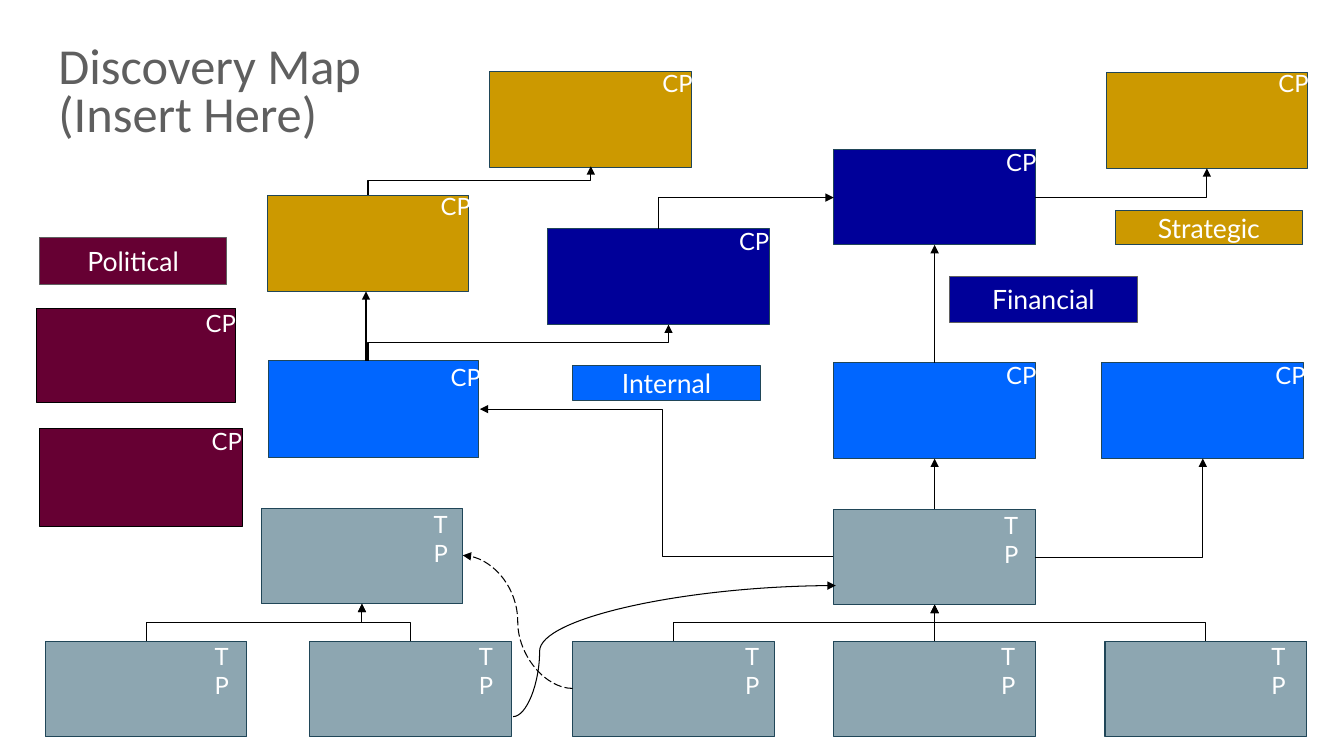
from lxml.etree import SubElement
from pptx import Presentation
from pptx.dml.color import RGBColor
from pptx.enum.dml import MSO_LINE
from pptx.enum.shapes import MSO_CONNECTOR, MSO_SHAPE
from pptx.enum.text import MSO_ANCHOR, PP_ALIGN
from pptx.oxml.ns import qn
from pptx.util import Inches, Pt

theme = {
    "wine": "660033", "blue": "0066FF", "navy": "000099", "gold": "CC9900",
    "slate": "8DA6B1", "edge": "204658", "gray": "5F5F5F", "black": "000000",
    "white": "FFFFFF", "head": 36, "label": 19, "tag": 17, "line": 0.75,
}

deck = Presentation()
deck.slide_width, deck.slide_height = Inches(13.33), Inches(7.5)
slide = deck.slides.add_slide(deck.slide_layouts[6])
shapes = slide.shapes


def write(shape, lines, size, font, color, pads):
    frame = shape.text_frame
    frame.margin_left, frame.margin_top, frame.margin_right, frame.margin_bottom = map(Inches, pads)
    para = frame.paragraphs[0]
    for i, line in enumerate(lines):
        if i:
            para.add_line_break()
        run = para.add_run()
        run.text = line
        run.font.size = Pt(theme[size])
        run.font.name = font
        run.font.color.rgb = RGBColor.from_string(theme[color])
    return frame, para


def block(x, y, w, h, fill, edge):
    shape = shapes.add_shape(MSO_SHAPE.RECTANGLE, Inches(x), Inches(y), Inches(w), Inches(h))
    shape.shadow.inherit = False
    shape.fill.solid()
    shape.fill.fore_color.rgb = RGBColor.from_string(theme[fill])
    shape.line.color.rgb = RGBColor.from_string(theme[edge])
    shape.line.width = Pt(theme["line"])
    return shape


title = shapes.add_textbox(Inches(0.58), Inches(0.44), Inches(12.17), Inches(0.97))
frame, para = write(title, ["Discovery Map", "(Insert Here)"], "head", "Calibri", "gray", (0, 0, 0, 0))
frame.word_wrap = True
frame.vertical_anchor = MSO_ANCHOR.BOTTOM
para.line_spacing = 0.8

tiles = {
    "wine top": (0.36, 3.06, 1.98, 0.93, 1.55, 0.05),
    "wine low": (0.39, 4.25, 2.02, 0.97, 1.58, 0.03),
    "blue left": (2.66, 3.58, 2.09, 0.96, 1.68, 0.06),
    "blue mid": (8.27, 3.6, 2, 0.95, 1.58, 0.02),
    "blue right": (10.93, 3.6, 2, 0.95, 1.59, 0.02),
    "navy left": (5.43, 2.27, 2.2, 0.95, 1.77, 0.03),
    "navy right": (8.27, 1.48, 2, 0.95, 1.58, 0.03),
    "gold left": (2.65, 1.94, 2, 0.95, 1.59, 0.01),
    "gold mid": (4.86, 0.71, 2, 0.95, 1.58, 0.02),
    "gold right": (10.97, 0.72, 2, 0.95, 1.58, 0.01),
    "slate left": (2.59, 5.04, 2, 0.95, 1.58, -0.05),
    "slate right": (8.27, 5.05, 2, 0.95, 1.56, -0.05),
    "slate one": (0.45, 6.36, 2, 0.95, 1.55, -0.06),
    "slate two": (3.07, 6.36, 2, 0.95, 1.55, -0.06),
    "slate three": (5.68, 6.36, 2, 0.95, 1.58, -0.06),
    "slate four": (8.27, 6.36, 2, 0.95, 1.53, -0.06),
    "slate five": (10.96, 6.36, 2, 0.95, 1.52, -0.06),
}
made = {}
for name, (x, y, w, h, dx, dy) in tiles.items():
    fill = name.split()[0]
    made[name] = block(x, y, w, h, fill, "black" if fill == "wine" else "edge")
    low = fill == "slate"
    wide, tall = (0.54, 0.43) if low else (0.48, 0.19)
    tag = shapes.add_textbox(Inches(x + dx), Inches(y + dy), Inches(wide), Inches(tall))
    pads = (0.13, 0.07, 0.2 if low else 0, 0.07)
    frame, para = write(tag, ["TP" if low else "CP"], "tag", "Lato", "white", pads)
    frame.word_wrap = True
    frame.vertical_anchor = MSO_ANCHOR.TOP if low else MSO_ANCHOR.MIDDLE

labels = [
    ("Political", 0.39, 2.36, 0.46, "wine", "gray"),
    ("Internal", 5.68, 3.63, 0.34, "blue", "edge"),
    ("Financial", 9.42, 2.74, 0.46, "navy", "gray"),
    ("Strategic", 11.06, 2.09, 0.34, "gold", "edge"),
]
for text, x, y, h, fill, edge in labels:
    label = block(x, y, 1.86, h, fill, edge)
    frame, para = write(label, [text], "label", "Lato", "white", (0.13, 0.07, 0.13, 0.07))
    frame.word_wrap = False
    frame.vertical_anchor = MSO_ANCHOR.MIDDLE
    para.alignment = PP_ALIGN.CENTER

wires = [
    ("line", 3.63, 3.58, 3.63, 2.89),
    ("line", 9.27, 3.6, 9.27, 2.43, "blue mid", "navy right"),
    ("line", 9.27, 5.05, 9.27, 4.55, "slate right", "blue mid"),
    ("line", 9.27, 6.36, 9.27, 6, "slate four", "slate right"),
    ("across", 8.38, 5.52, 4.76, 4.06),
    ("across up", 10.27, 5.53, 11.93, 4.55),
    ("across up", 10.27, 1.96, 11.97, 1.67),
    ("up across", 6.53, 2.27, 8.27, 1.96),
    ("up", 3.65, 3.58, 6.63, 3.22),
    ("up", 3.65, 1.93, 5.86, 1.65),
    ("up", 1.45, 6.36, 3.59, 5.99),
    ("up", 4.07, 6.36, 3.59, 5.99),
    ("up", 6.68, 6.36, 9.27, 6),
    ("up", 11.96, 6.36, 9.27, 6),
    ("curve", 5.09, 7.11, 8.29, 5.81),
    ("dashed curve", 5.68, 6.83, 4.59, 5.51),
]
for kind, x1, y1, x2, y2, *ends in wires:
    turned = kind.startswith("up")
    if turned:
        mx, my = (x1 + x2) / 2, (y1 + y2) / 2
        dx, dy = (x2 - x1) / 2, (y1 - y2) / 2
        x1, y1, x2, y2 = mx - dy, my - dx, mx + dy, my + dx
    form = MSO_CONNECTOR.ELBOW
    if kind == "line":
        form = MSO_CONNECTOR.STRAIGHT
    elif "curve" in kind:
        form = MSO_CONNECTOR.CURVE
    wire = shapes.add_connector(form, Inches(x1), Inches(y1), Inches(x2), Inches(y2))
    if ends:
        wire.begin_connect(made[ends[0]], 0)
        wire.end_connect(made[ends[1]], 2)
    wire.line.color.rgb = RGBColor.from_string(theme["black"])
    wire.line.width = Pt(theme["line"])
    if kind == "dashed curve":
        wire.line.dash_style = MSO_LINE.LONG_DASH
    props = wire._element.spPr
    if turned:
        props.find(qn("a:xfrm")).set("rot", "16200000")
    geom = props.find(qn("a:prstGeom"))
    if kind in ("across up", "up across"):
        geom.set("prst", "bentConnector2")
    if kind == "curve":
        SubElement(geom.find(qn("a:avLst")), qn("a:gd"), name="adj1", fmla="val 8200")
    SubElement(props.find(qn("a:ln")), qn("a:tailEnd"), type="triangle")
    SubElement(props, qn("a:effectLst"))
    if kind == "across":
        title._element.addnext(wire._element)

deck.save("out.pptx")
